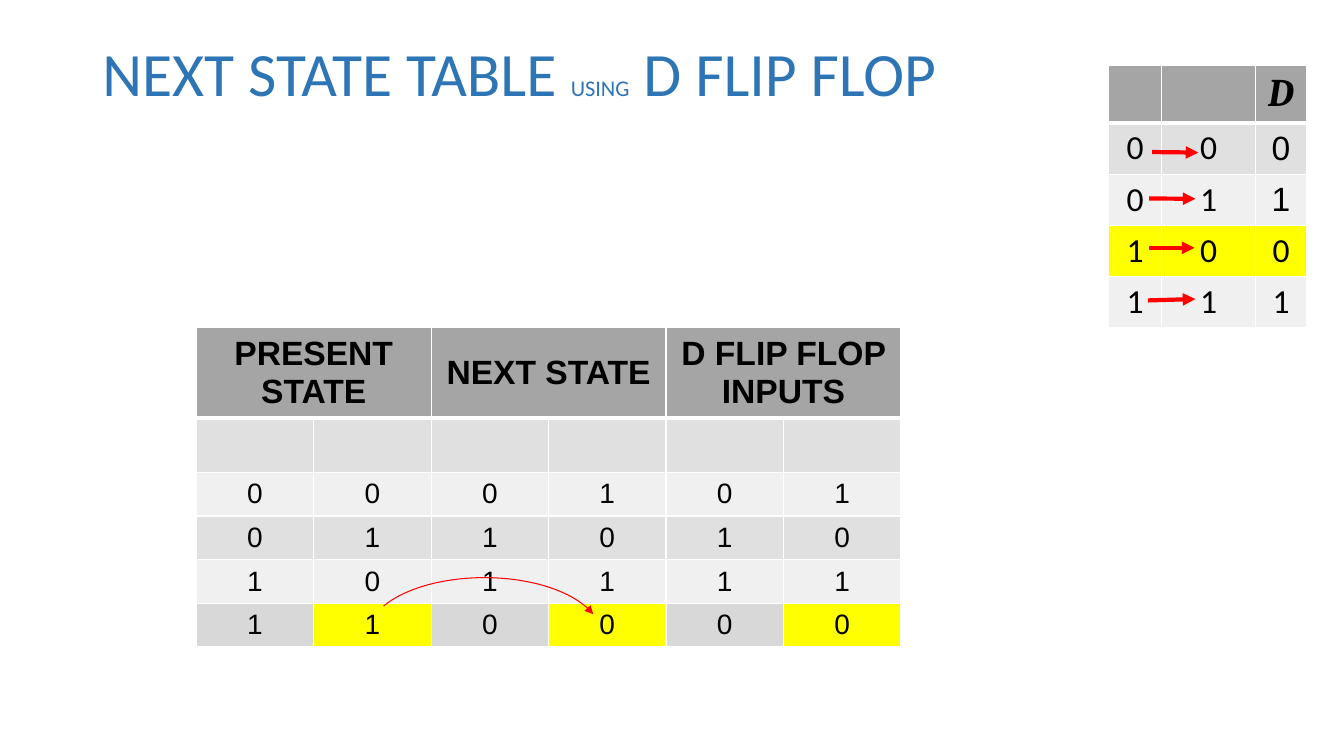
from dataclasses import dataclass

from lxml.etree import SubElement
from pptx import Presentation
from pptx.dml.color import RGBColor
from pptx.enum.shapes import MSO_CONNECTOR, MSO_SHAPE
from pptx.enum.text import MSO_ANCHOR, MSO_AUTO_SIZE, PP_ALIGN
from pptx.oxml import parse_xml
from pptx.oxml.ns import nsdecls, qn
from pptx.util import Pt


@dataclass(frozen=True)
class Theme:
    title: str = "2E75B5"
    text: str = "000000"
    arrow: str = "FF0000"
    border: str = "FFFFFF"
    header: str = "A5A5A5"
    band_dark: str = "E0E0E0"
    band_light: str = "F0F0F0"
    last_row: str = "D8D8D8"
    mark: str = "FFFF00"
    title_size: int = 44
    small_size: int = 16
    symbol_size: int = 28
    head_size: int = 24
    body_size: int = 20


THEME = Theme()


def add_text(p, text, font="Calibri", size=18, color=THEME.text, bold=False, italic=False):
    r = p.add_run()
    r.text = text
    r.font.name, r.font.size = font, Pt(size)
    r.font.bold, r.font.italic = bold, italic
    r.font.color.rgb = RGBColor.from_string(color)


class SlideBuilder:
    def __init__(self, slide, theme):
        self.s, self.theme = slide, theme

    def title(self, parts, x, y, w, h):
        sp = self.s.shapes.title
        sp.left, sp.top, sp.width, sp.height = Pt(x), Pt(y), Pt(w), Pt(h)
        tf = sp.text_frame
        tf.word_wrap, tf.auto_size = True, MSO_AUTO_SIZE.NONE
        tf.vertical_anchor = MSO_ANCHOR.MIDDLE
        p = tf.paragraphs[0]
        p.alignment, p.line_spacing = PP_ALIGN.LEFT, 0.9
        for text, size in parts:
            add_text(p, text, size=size, color=self.theme.title)
        p.add_line_break()

    def table(self, x, y, cols, rows):
        shape = self.s.shapes.add_table(len(rows), len(cols), Pt(x), Pt(y),
                                        Pt(sum(cols)), Pt(sum(rows)))
        table = shape.table
        table.first_row = table.horz_banding = False
        for col, width in zip(table.columns, cols):
            col.width = Pt(width)
        for row, height in zip(table.rows, rows):
            row.height = Pt(height)
        return table

    def cell(self, table, row, col, text, fill, **fmt):
        cell = table.cell(row, col)
        cell.fill.solid()
        cell.fill.fore_color.rgb = RGBColor.from_string(fill)
        cell.vertical_anchor = MSO_ANCHOR.MIDDLE
        if text:
            p = cell.text_frame.paragraphs[0]
            p.alignment = PP_ALIGN.CENTER
            add_text(p, text, **fmt)
        # Thick rule between the header and the body
        widths = {"L": 1, "R": 1, "T": 3 if row == 1 else 1, "B": 3 if row == 0 else 1}
        tc_pr = cell._tc.get_or_add_tcPr()
        for i, (side, width) in enumerate(widths.items()):
            tc_pr.insert(i, parse_xml(
                f'<a:ln{side} {nsdecls("a")} w="{Pt(width)}"><a:solidFill>'
                f'<a:srgbClr val="{self.theme.border}"/></a:solidFill></a:ln{side}>'))

    def arrow_line(self, shape, width):
        shape.line.color.rgb = RGBColor.from_string(self.theme.arrow)
        shape.line.width = Pt(width)
        SubElement(shape.line._get_or_add_ln(), qn("a:tailEnd"), type="triangle")

    def arrow(self, x1, y1, x2, y2):
        line = self.s.shapes.add_connector(MSO_CONNECTOR.STRAIGHT,
                                           Pt(x1), Pt(y1), Pt(x2), Pt(y2))
        self.arrow_line(line, 3)
        SubElement(line._element.spPr, qn("a:effectLst"))

    def arc(self, x, y, w, h, start, end):
        sp = self.s.shapes.add_shape(MSO_SHAPE.ARC, Pt(x), Pt(y), Pt(w), Pt(h))
        sp.shadow.inherit = False
        sp.fill.background()
        # Angles are stored in 60000ths of a degree, scaled by 100000
        sp.adjustments[0], sp.adjustments[1] = start * 0.6, end * 0.6
        self.arrow_line(sp, 0.75)


def main():
    prs = Presentation()
    prs.slide_width, prs.slide_height = Pt(960), Pt(540)
    t = THEME
    b = SlideBuilder(prs.slides.add_slide(prs.slide_layouts[5]), t)

    b.title([("NEXT STATE TABLE ", t.title_size), ("USING", t.small_size),
             (" D FLIP FLOP", t.title_size)], 66, 28.75, 828, 104.4)

    # Next state table
    states = b.table(140.2, 234, [83.9] * 6, [64.6, 38.8] + [31.2] * 4)
    for i, heading in enumerate(["PRESENT STATE", "NEXT STATE", "D FLIP FLOP INPUTS"]):
        b.cell(states, 0, 2 * i, heading, t.header,
               font="Arial", size=t.head_size, bold=True)
        b.cell(states, 0, 2 * i + 1, "", t.header)
        states.cell(0, 2 * i).merge(states.cell(0, 2 * i + 1))
    fills = [t.band_dark, t.band_light, t.band_dark, t.band_light, t.last_row]
    bits = [" " * 6, "000101", "011010", "101111", "110000"]
    for row, (values, fill) in enumerate(zip(bits, fills), 1):
        for col, bit in enumerate(values):
            marked = row == 5 and col % 2 == 1
            b.cell(states, row, col, bit.strip(), t.mark if marked else fill,
                   font="Arial", size=t.body_size)

    # Present state to next state
    b.arc(262.1, 412.6, 167.8, 83.5, 196.57, 348.58)

    # Excitation table of the D flip flop
    excitation = b.table(792, 46.8, [37.6, 67.4, 36.2], [41] + [36.6] * 4)
    for col, symbol in enumerate(["", "", "D"]):
        b.cell(excitation, 0, col, symbol, t.header,
               font="Cambria", size=t.symbol_size, bold=True, italic=True)
    fills = [t.band_dark, t.band_light, t.mark, t.band_light]
    for row, (values, fill) in enumerate(zip(["000", "011", "100", "111"], fills), 1):
        for col, bit in enumerate(values):
            font = "Arial" if col == 2 and row < 3 else "Calibri"
            b.cell(excitation, row, col, bit, fill, font=font, size=t.head_size)

    # Transition arrows
    for x1, y1, x2, y2 in [(820.8, 141.8, 853.9, 142), (820.8, 177, 853.2, 177),
                           (820, 214.6, 853.9, 213.6), (823, 108.6, 856, 109)]:
        b.arrow(x1, y1, x2, y2)

    prs.save("out.pptx")


if __name__ == "__main__":
    main()
